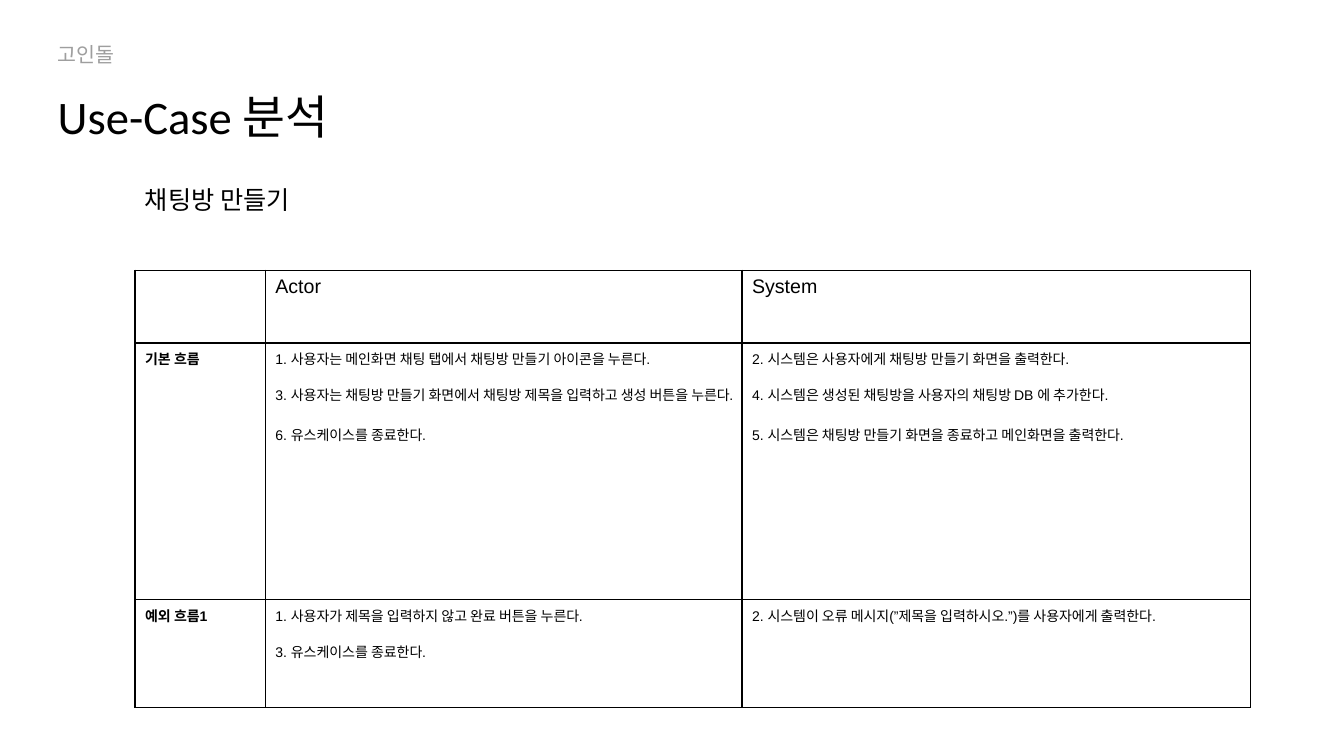
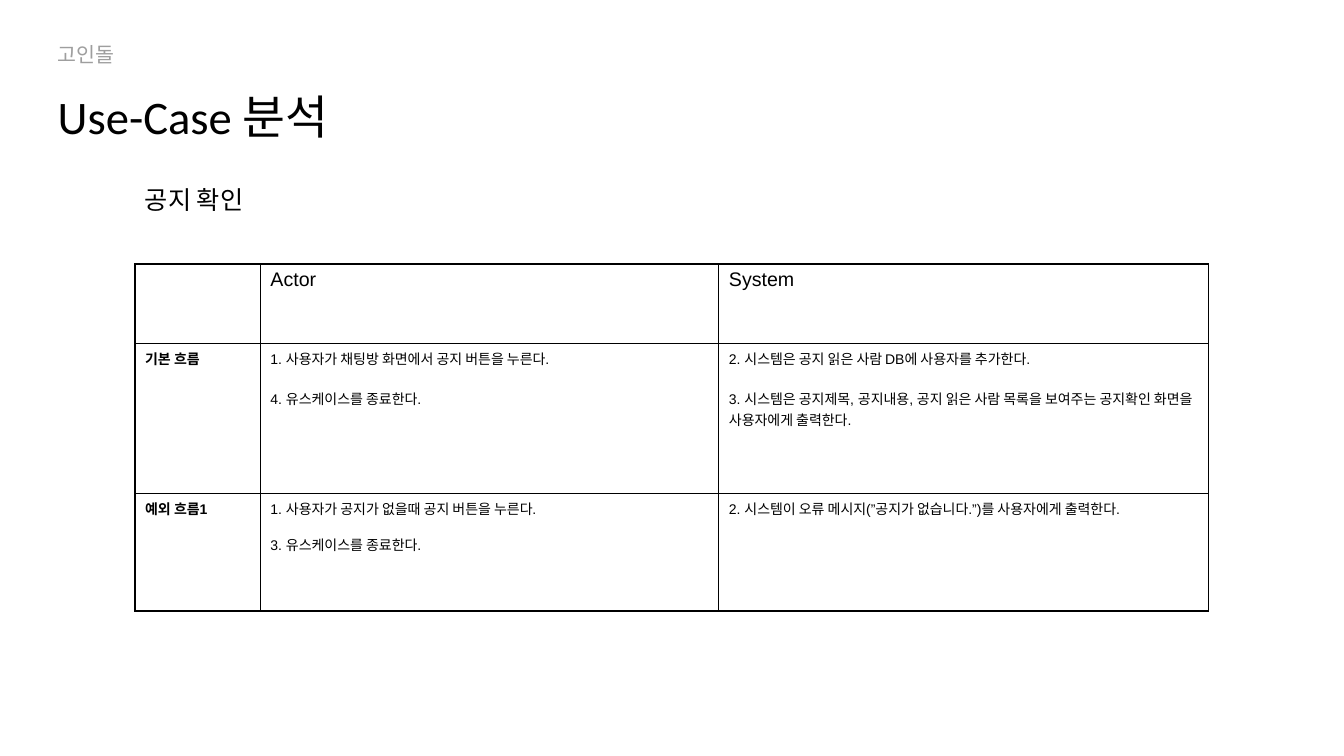
"""Build the use-case analysis slides."""
from lxml.etree import SubElement
from pptx import Presentation
from pptx.dml.color import RGBColor
from pptx.enum.text import MSO_ANCHOR, MSO_AUTO_SIZE, PP_ALIGN
from pptx.oxml.ns import qn
from pptx.util import Pt


def rgb(value):
    return RGBColor.from_string(value)


def add_text(p, text, size=10, font="Arial", color="000000", bold=False, before=0):
    p.alignment = PP_ALIGN.LEFT
    p.space_before = Pt(before)
    r = p.add_run()
    r.text = text
    r.font.size = Pt(size)
    r.font.name = font
    r.font.bold = bold
    r.font.color.rgb = rgb(color)


class Deck:
    INK, GREY = "000000", "9E9E9E"
    HEAD_FONT, BODY_FONT = "Calibri", "Arial"
    MARGIN, INDENT = 34, 96.5
    ITEM_GAP, GROUP_GAP = 11.4, 14.3

    def __init__(self):
        self.prs = Presentation()
        self.prs.slide_width, self.prs.slide_height = Pt(960), Pt(540)
        self.s = None

    def slide(self, subtitle):
        self.s = self.prs.slides.add_slide(self.prs.slide_layouts[5])
        self.label("고인돌", self.MARGIN, 26.5, 204, 25, size=14.7, color=self.GREY)
        self.title("Use-Case 분석")
        self.label(subtitle, self.INDENT, 128, 199, 29.5, size=18, color=self.INK)

    def place(self, sp, text, x, y, w, h, **fmt):
        sp.left, sp.top, sp.width, sp.height = Pt(x), Pt(y), Pt(w), Pt(h)
        tf = sp.text_frame
        tf.word_wrap = True
        tf.auto_size = MSO_AUTO_SIZE.SHAPE_TO_FIT_TEXT
        tf.vertical_anchor = MSO_ANCHOR.TOP
        add_text(tf.paragraphs[0], text, font=self.HEAD_FONT, **fmt)

    def title(self, text):
        self.place(self.s.shapes.title, text, self.MARGIN, 59, 380, 47.5, size=33.3)

    def label(self, text, x, y, w, h, **fmt):
        sp = self.s.shapes.add_textbox(Pt(x), Pt(y), Pt(w), Pt(h))
        self.place(sp, text, x, y, w, h, **fmt)

    def border(self, cell):
        tc_pr = cell._tc.get_or_add_tcPr()
        for side in ("a:lnL", "a:lnR", "a:lnT", "a:lnB"):
            ln = SubElement(tc_pr, qn(side), w=str(Pt(1)))
            SubElement(SubElement(ln, qn("a:solidFill")), qn("a:srgbClr"), val=self.INK)

    def fill_cell(self, cell, groups, **fmt):
        """Write groups of steps, with a wider gap between groups than within them."""
        self.border(cell)
        cell.fill.background()
        tf = cell.text_frame
        for g, group in enumerate(groups):
            for i, text in enumerate(group):
                first = g == i == 0
                p = tf.paragraphs[0] if first else tf.add_paragraph()
                gap = 0 if first else self.ITEM_GAP if i else self.GROUP_GAP
                add_text(p, text, font=self.BODY_FONT, before=gap, **fmt)

    def flow_table(self, top, widths, heights, flows):
        rows = [([], [["Actor"]], [["System"]])]
        rows += [([[name]], actor, system) for name, actor, system in flows]
        frame = self.s.shapes.add_table(len(rows), len(widths), Pt(self.INDENT), Pt(top),
                                        Pt(sum(widths)), Pt(sum(heights)))
        table = frame.table
        table.first_row = table.horz_banding = False
        for col, width in zip(table.columns, widths):
            col.width = Pt(width)
        for row, height in zip(table.rows, heights):
            row.height = Pt(height)
        for r, row in enumerate(rows):
            for c, groups in enumerate(row):
                self.fill_cell(table.cell(r, c), groups,
                               size=10 if r else 14, bold=c == 0)


def main():
    deck = Deck()
    deck.slide("채팅방 만들기")
    deck.flow_table(193, (93, 340.5, 363.5), (52, 183.5, 77), [
        ("기본 흐름",
         [["1. 사용자는 메인화면 채팅 탭에서 채팅방 만들기 아이콘을 누른다.",
           "3. 사용자는 채팅방 만들기 화면에서 채팅방 제목을 입력하고 생성 버튼을 누른다."],
          ["6. 유스케이스를 종료한다."]],
         [["2. 시스템은 사용자에게 채팅방 만들기 화면을 출력한다.",
           "4. 시스템은 생성된 채팅방을 사용자의 채팅방 DB 에 추가한다."],
          ["5. 시스템은 채팅방 만들기 화면을 종료하고 메인화면을 출력한다."]]),
        ("예외 흐름1",
         [["1. 사용자가 제목을 입력하지 않고 완료 버튼을 누른다.",
           "3. 유스케이스를 종료한다."]],
         [["2. 시스템이 오류 메시지(”제목을 입력하시오.”)를 사용자에게 출력한다."]]),
    ])
    deck.slide("공지 확인")
    deck.flow_table(188.5, (89.5, 327.5, 350), (57, 107, 84), [
        ("기본 흐름",
         [["1. 사용자가 채팅방 화면에서 공지 버튼을 누른다."],
          ["4. 유스케이스를 종료한다."]],
         [["2. 시스템은 공지 읽은 사람 DB에 사용자를 추가한다."],
          ["3. 시스템은 공지제목, 공지내용, 공지 읽은 사람 목록을 보여주는 공지확인 "
           "화면을 사용자에게 출력한다."]]),
        ("예외 흐름1",
         [["1. 사용자가 공지가 없을때 공지 버튼을 누른다.",
           "3. 유스케이스를 종료한다."]],
         [["2. 시스템이 오류 메시지(”공지가 없습니다.”)를 사용자에게 출력한다."]]),
    ])
    deck.prs.save("out.pptx")


if __name__ == "__main__":
    main()
